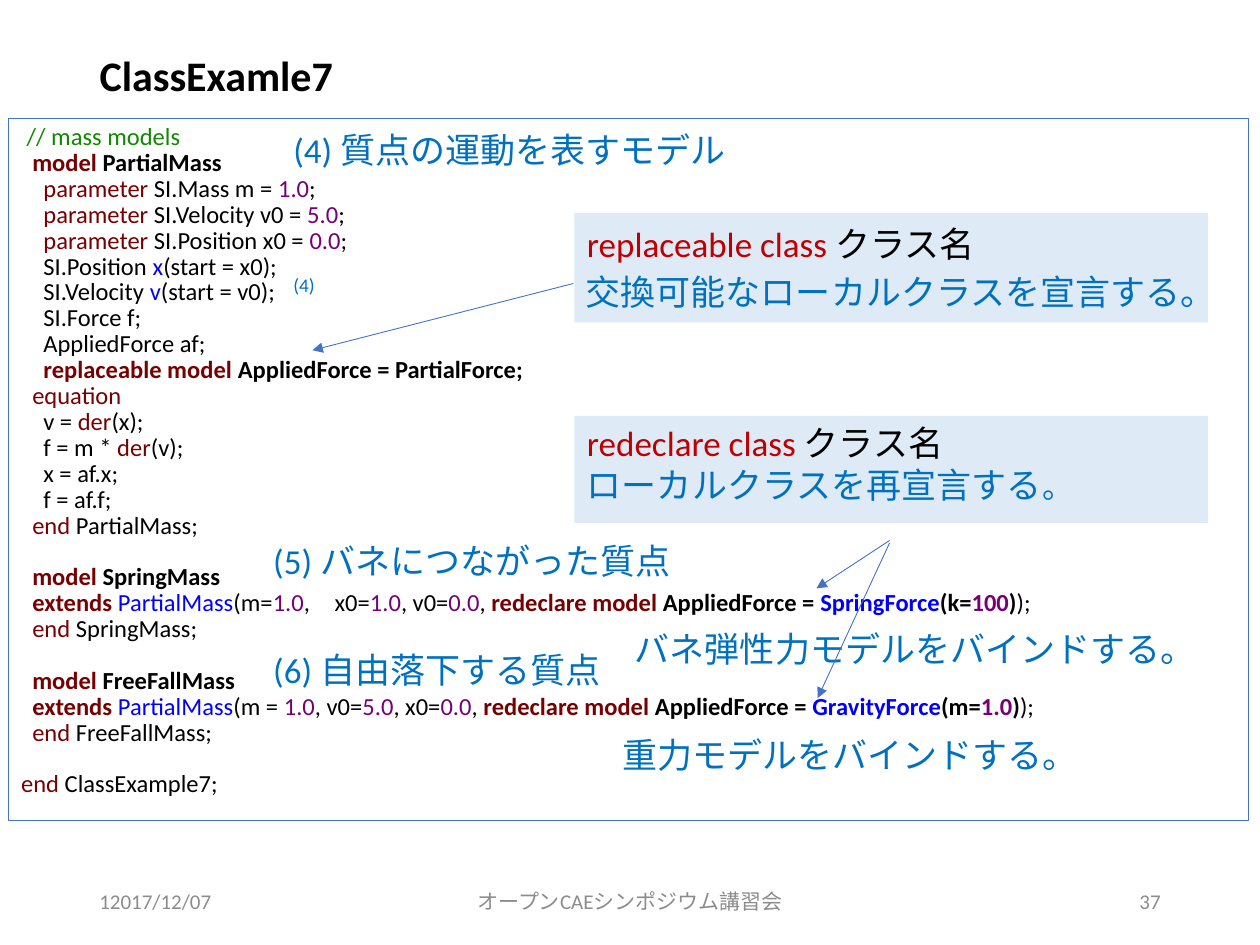
"""Build the ClassExamle7 slide: annotated model code with class notes."""
from dataclasses import dataclass

from lxml import etree
from pptx import Presentation
from pptx.dml.color import RGBColor
from pptx.enum import shapes, text
from pptx.oxml import ns
from pptx.util import Inches, Pt


@dataclass(frozen=True)
class Theme:
    font: str = "Calibri"
    black: str = "000000"
    grey: str = "8C8C8C"
    outline: str = "4472C4"
    panel: str = "DEEBF7"
    note: str = "0070C0"
    syntax: str = "C00000"
    comment: str = "128802"
    keyword: str = "760002"
    number: str = "760078"
    identifier: str = "0000FF"
    title_size: float = 24
    note_size: float = 20
    stop_size: float = 18
    code_size: float = 14
    footer_size: float = 12
    mark_size: float = 11
    code_spacing: float = 14.8


theme = Theme()


def add_runs(paragraph, runs):
    for content, color, size, bold in runs:
        run = paragraph.add_run()
        run.text = content
        run.font.name = theme.font
        run.font.size = Pt(size)
        run.font.bold = bold
        run.font.color.rgb = RGBColor.from_string(color)


def add_label(container, box, runs, align=text.PP_ALIGN.LEFT, anchor=text.MSO_ANCHOR.TOP):
    label = container.add_textbox(*map(Inches, box))
    label.text_frame.word_wrap = True
    label.text_frame.vertical_anchor = anchor
    paragraph = label.text_frame.paragraphs[0]
    paragraph.alignment = align
    add_runs(paragraph, runs)


presentation = Presentation()
presentation.slide_width, presentation.slide_height = Inches(10), Inches(7.5)
slide = presentation.slides.add_slide(presentation.slide_layouts[5])

title = slide.shapes.title
title.left, title.top, title.width, title.height = map(Inches, (0.69, 0.39, 8.62, 0.55))
title.text_frame.vertical_anchor = text.MSO_ANCHOR.TOP
title_paragraph = title.text_frame.paragraphs[0]
title_paragraph.alignment = text.PP_ALIGN.LEFT
title_paragraph.line_spacing = 0.9
add_runs(title_paragraph, [("ClassExamle7", theme.black, theme.title_size, True)])

footers = [
    (0.69, 2.25, "12017/12/07", text.PP_ALIGN.LEFT),
    (3.31, 3.38, "オープンCAEシンポジウム講習会", text.PP_ALIGN.CENTER),
    (7.06, 2.25, "37", text.PP_ALIGN.RIGHT),
]
for left, width, content, align in footers:
    add_label(slide.shapes, (left, 6.95, width, 0.4),
              [(content, theme.grey, theme.footer_size, False)], align, text.MSO_ANCHOR.MIDDLE)

code_styles = {
    "t": theme.black, "c": theme.comment, "k": theme.keyword,
    "n": theme.number, "i": theme.identifier,
}
code_lines = [
    "t |c// mass models",
    "t  |Kmodel |TPartialMass",
    "t    |kparameter |tSI.Mass m = |n1.0|t;",
    "t    |kparameter |tSI.Velocity v0 = |n5.0|t;",
    "t    |kparameter |tSI.Position x0 = |n0.0|t;",
    "t    SI.Position |ix|t(start = x0);",
    "t    SI.Velocity |iv|t(start = v0);",
    "t    SI.Force f;",
    "t    AppliedForce af;",
    "t    |Kreplaceable model |TAppliedForce = PartialForce;",
    "t  |kequation",
    "t    v = |kder|t(x);",
    "t    f = m * |kder|t(v);",
    "t    x = af.x;",
    "t    f = af.f;",
    "t  |kend |tPartialMass;",
    "t",
    "t  |Kmodel |TSpringMass",
    "t  |Kextends |iPartialMass|t(m=|n1.0|t,　x0=|n1.0|t, v0=|n0.0|t, "
    "|Kredeclare model |TAppliedForce = |ISpringForce|T(k=|N100|T)|t);",
    "t  |kend |tSpringMass;",
    "t",
    "t  |Kmodel |TFreeFallMass",
    "t  |Kextends |iPartialMass|t(m = |n1.0|t, v0=|n5.0|t, x0=|n0.0|t, "
    "|Kredeclare model |TAppliedForce = |IGravityForce|T(m=|N1.0|T)|t);",
    "t  |kend |tFreeFallMass;",
    "t",
    "kend|t ClassExample7;",
]

code_box = slide.shapes.add_shape(
    shapes.MSO_SHAPE.RECTANGLE, *map(Inches, (0.07, 0.94, 9.84, 5.57)))
code_box.shadow.inherit = False
code_box.fill.background()
code_box.line.color.rgb = RGBColor.from_string(theme.outline)
code_box.line.width = Pt(0.75)
code_frame = code_box.text_frame
code_frame.word_wrap = True
code_frame.vertical_anchor = text.MSO_ANCHOR.TOP
for index, line in enumerate(code_lines):
    paragraph = code_frame.add_paragraph() if index else code_frame.paragraphs[0]
    paragraph.alignment = text.PP_ALIGN.LEFT
    paragraph.line_spacing = Pt(theme.code_spacing)
    paragraph.font.size = Pt(theme.code_size)
    add_runs(paragraph, [
        (part[1:], code_styles[part[0].lower()], theme.code_size, part[0].isupper())
        for part in line.split("|") if part[1:]])

notes = [
    ((2.23, 0.97, 3.92, 0.44), "(4) 質点の運動を表すモデル", theme.note_size),
    ((2.07, 4.23, 3.92, 0.44), "(5) バネにつながった質点", theme.note_size),
    ((2.07, 5.1, 3.09, 0.44), "(6) 自由落下する質点", theme.note_size),
    ((4.94, 4.93, 4.42, 0.44), "バネ弾性力モデルをバインドする。", theme.note_size),
    ((4.84, 5.77, 3.84, 0.44), "重力モデルをバインドする。", theme.note_size),
    ((2.23, 2.12, 0.49, 0.29), "(4)", theme.mark_size),
]
for box, content, size in notes:
    add_label(slide.shapes, box, [(content, theme.note, size, False)])

panels = [
    ((4.56, 1.69, 5.03, 0.87), (4.56, 1.72, 3.85, 0.44), "replaceable class ",
     (4.55, 2.1, 5.07, 0.44), [("交換可能なローカルクラスを宣言する。", theme.note_size)]),
    ((4.56, 3.3, 5.03, 0.85), (4.56, 3.3, 4.45, 0.44), "redeclare class ",
     (4.56, 3.63, 4.06, 0.44),
     [("ローカルクラスを再宣言する", theme.note_size), ("。", theme.stop_size)]),
]
for panel_box, syntax_box, syntax, meaning_box, meaning in panels:
    group = slide.shapes.add_group_shape()
    panel = group.shapes.add_shape(shapes.MSO_SHAPE.RECTANGLE, *map(Inches, panel_box))
    panel.shadow.inherit = False
    panel.fill.solid()
    panel.fill.fore_color.rgb = RGBColor.from_string(theme.panel)
    panel.line.fill.background()
    add_label(group.shapes, syntax_box, [
        (syntax, theme.syntax, theme.note_size, False),
        ("クラス名", theme.black, theme.note_size, False)])
    add_label(group.shapes, meaning_box,
              [(content, theme.note, size, False) for content, size in meaning])

arrows = [(4.55, 2.25, 2.48, 2.78), (7.06, 4.29, 6.48, 4.67), (7.06, 4.31, 6.49, 5.54)]
for ends in arrows:
    arrow = slide.shapes.add_connector(shapes.MSO_CONNECTOR.STRAIGHT, *map(Inches, ends))
    arrow.line.color.rgb = RGBColor.from_string(theme.outline)
    arrow.line.width = Pt(0.5)
    properties = arrow._element.spPr
    etree.SubElement(properties.find(ns.qn("a:ln")), ns.qn("a:tailEnd"), type="triangle")
    etree.SubElement(properties, ns.qn("a:effectLst"))

presentation.save("out.pptx")
